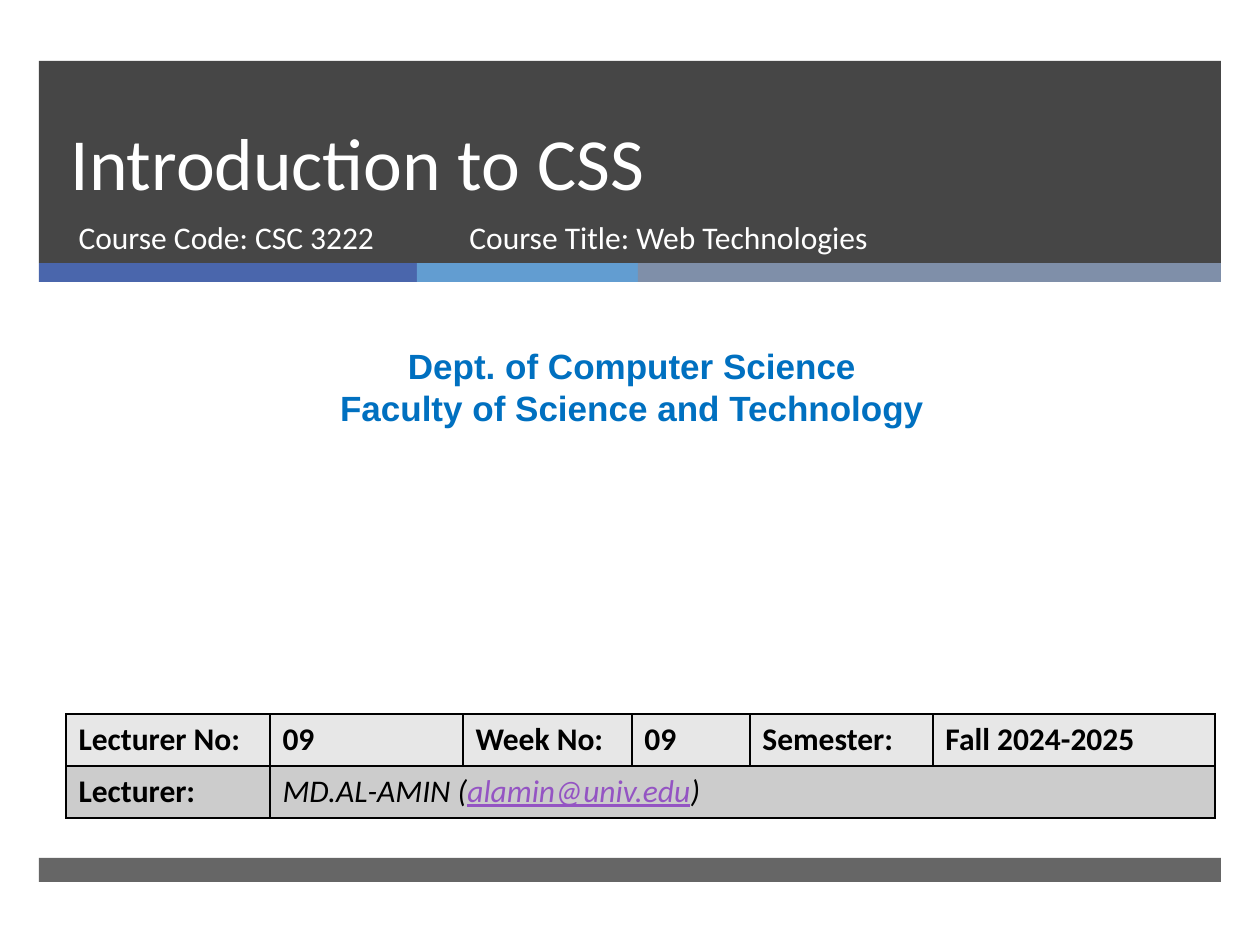
from lxml.etree import SubElement
from pptx import Presentation
from pptx.dml.color import RGBColor
from pptx.enum.shapes import MSO_SHAPE as Shape
from pptx.enum.text import MSO_ANCHOR as Anchor, MSO_AUTO_SIZE as Fit, PP_ALIGN as Align
from pptx.oxml.ns import qn
from pptx.util import Emu, Pt

COLORS = {
    "dark": "262626", "blue": "4A66AC", "sky": "629DD1", "slate": "7F8FA9",
    "white": "FFFFFF", "dept": "0070C0", "black": "000000",
    "head": "E7E7E7", "row": "CCCCCC", "mail": "9454C3",
}


def px(n):
    return Emu(round(n * 914400 / 126))


def rgb(name):
    return RGBColor.from_string(COLORS[name])


class Deck:
    """Holds the style and the current slide."""

    font = "Calibri"
    size = 18

    def __init__(self, prs):
        self.slide = prs.slides.add_slide(prs.slide_layouts[0])
        self.shapes = self.slide.shapes

    def style(self, run, color, size=None, font=None, bold=False, italic=False, under=False):
        face = run.font
        face.name, face.size = font or self.font, Pt(size or self.size)
        face.bold, face.italic, face.underline = bold, italic, under
        face.color.rgb = rgb(color)

    def bar(self, left, top, width, height, color, alpha=100):
        box = self.shapes.add_shape(Shape.RECTANGLE, *map(px, (left, top, width, height)))
        box.shadow.inherit = False
        box.fill.solid()
        box.fill.fore_color.rgb = rgb(color)
        box.line.fill.background()
        if alpha < 100:
            tone = box._element.spPr.find(".//" + qn("a:srgbClr"))
            SubElement(tone, qn("a:alpha")).set("val", str(alpha * 1000))

    def put(self, box, text, color, align=Align.LEFT, anchor=Anchor.TOP, line=None, **look):
        """Set and format the text of a box."""
        frame = box.text_frame
        frame.text = text
        frame.word_wrap, frame.auto_size = True, Fit.NONE
        frame.vertical_anchor = anchor
        for para in frame.paragraphs:
            para.alignment, para.space_before = align, Pt(0)
            if line:
                para.line_spacing = Pt(line)
            for run in para.runs:
                self.style(run, color, **look)

    def holder(self, idx, area, text, color, **look):
        """Fill a placeholder and lift it above the bars."""
        box = self.slide.placeholders[idx]
        box.left, box.top, box.width, box.height = map(px, area)
        self.shapes._spTree.append(box._element)
        self.put(box, text, color, **look)

    def label(self, area, text, color, **look):
        self.put(self.shapes.add_textbox(*map(px, area)), text, color, **look)

    def cell(self, cell, fill, parts):
        """Draw one cell; parts are (text, colour, look) runs."""
        props = cell._tc.get_or_add_tcPr()
        for side in ("lnL", "lnR", "lnT", "lnB"):
            edge = SubElement(props, qn("a:" + side), w=str(Pt(1)))
            paint = SubElement(edge, qn("a:solidFill"))
            SubElement(paint, qn("a:srgbClr"), val=COLORS["black"])
        cell.fill.solid()
        cell.fill.fore_color.rgb = rgb(fill)
        para = cell.text_frame.paragraphs[0]
        for text, color, look in parts:
            run = para.add_run()
            run.text = text
            self.style(run, color, **look)

    def table(self, left, top, widths, height, rows):
        """Draw rows of (fill, cells); the last cell of a short row spans the rest."""
        area = map(px, (left, top, sum(widths), height * len(rows)))
        table = self.shapes.add_table(len(rows), len(widths), *area).table
        for col, width in zip(table.columns, widths):
            col.width = px(width)
        for r, (fill, cells) in enumerate(rows):
            table.rows[r].height = px(height)
            if len(cells) < len(widths):
                table.cell(r, len(cells) - 1).merge(table.cell(r, len(widths) - 1))
            for c in range(len(widths)):
                self.cell(table.cell(r, c), fill, cells[c] if c < len(cells) else [])


def main():
    prs = Presentation()
    prs.slide_width, prs.slide_height = px(1260), px(945)
    deck = Deck(prs)

    left = 39
    deck.bar(left, 61, 1182, 202, "dark", alpha=85)
    start = left
    for width, color in ((378, "blue"), (221, "sky"), (583, "slate")):
        deck.bar(start, 263, width, 19, color)
        start += width
    deck.bar(left, 858, 1182, 24, "dark", alpha=70)

    deck.holder(0, (58, 62, 1076, 150), "Introduction to CSS", "white",
                anchor=Anchor.BOTTOM, line=46, size=42)
    deck.holder(1, (66, 212, 384, 67), "Course Code: CSC 3222", "white")
    deck.label((457, 212, 573, 67), "Course Title: Web Technologies", "white")
    deck.label((10, 338, 1244, 97),
               "Dept. of Computer Science\nFaculty of Science and Technology",
               "dept", align=Align.CENTER, size=20, font="Arial", bold=True)

    bold, slant = {"bold": True}, {"italic": True}
    heads = ("Lecturer No:", "09", "Week No:", "09", "Semester:", "Fall 2024-2025")
    person = [("MD.AL-AMIN (", "black", slant),
              ("alamin@univ.edu", "mail", {"italic": True, "under": True}),
              (")", "black", slant)]
    deck.table(66, 714, (204, 193, 169, 118, 183, 282), 52, [
        ("head", [[(text, "black", bold)] for text in heads]),
        ("row", [[("Lecturer:", "black", bold)], person]),
    ])
    prs.save("out.pptx")


if __name__ == "__main__":
    main()
